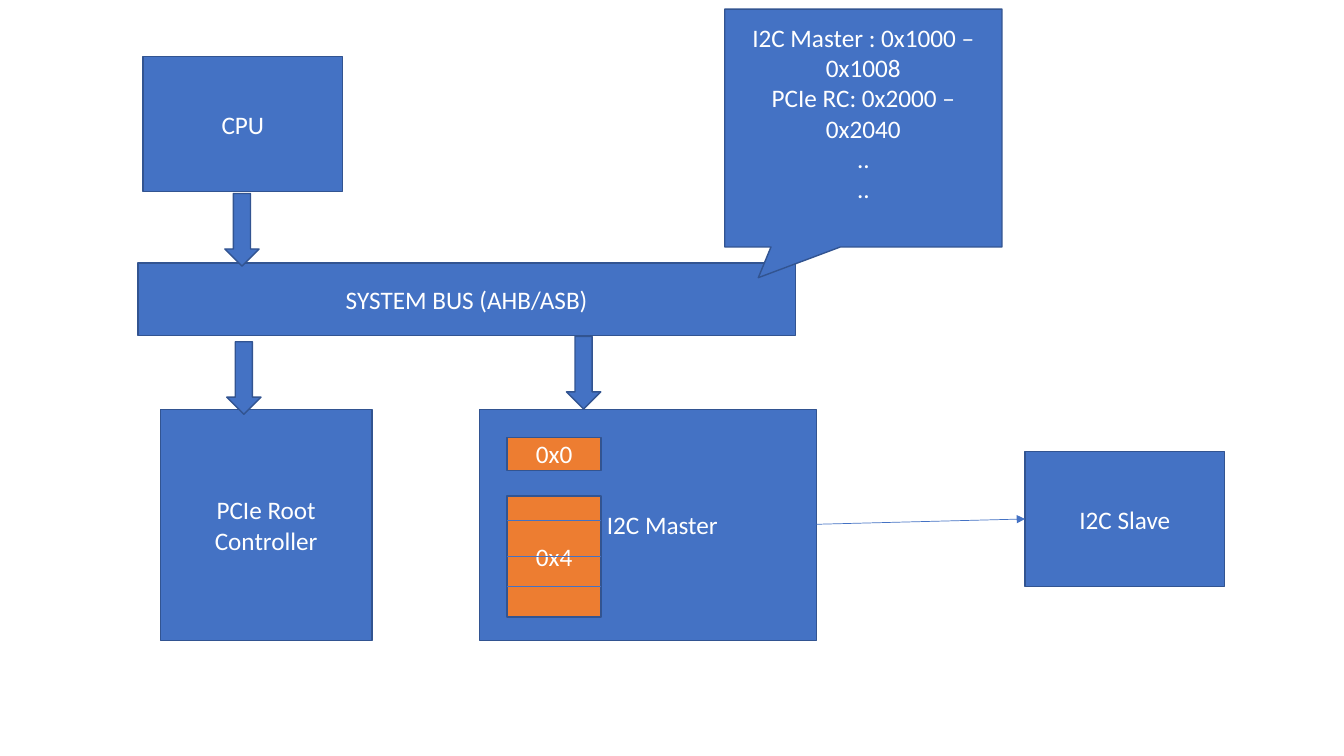
from dataclasses import dataclass

from lxml.etree import SubElement
from pptx import Presentation
from pptx.dml.color import RGBColor
from pptx.enum.shapes import MSO_CONNECTOR, MSO_SHAPE
from pptx.enum.text import MSO_ANCHOR, PP_ALIGN
from pptx.oxml.ns import qn
from pptx.util import Inches, Pt

BLUE = RGBColor(0x44, 0x72, 0xC4)
NAVY = RGBColor(0x32, 0x54, 0x91)
ORANGE = RGBColor(0xED, 0x7D, 0x31)
WHITE = RGBColor(0xFF, 0xFF, 0xFF)

deck = Presentation()
deck.slide_width, deck.slide_height = Inches(13.33), Inches(7.5)
slide = deck.slides.add_slide(deck.slide_layouts[6])


def across(share: float) -> int:
    """Percent of the slide's width."""
    return round(deck.slide_width * share / 100)


def down(share: float) -> int:
    """Percent of the slide's height."""
    return round(deck.slide_height * share / 100)


@dataclass(frozen=True)
class Block:
    left: float
    top: float
    width: float
    height: float
    lines: tuple[str, ...] = ()
    fill: RGBColor = BLUE
    kind: MSO_SHAPE = MSO_SHAPE.RECTANGLE
    inset: float = 0.1  # left margin, inches
    foot: float = 0.05  # bottom margin, inches
    adjust: tuple[float, ...] = ()


@dataclass(frozen=True)
class Wire:
    start: tuple[float, float]
    end: tuple[float, float]
    head: bool = False


def draw_block(block: Block) -> None:
    shape = slide.shapes.add_shape(
        block.kind, across(block.left), down(block.top),
        across(block.width), down(block.height))
    shape.shadow.inherit = False
    shape.fill.solid()
    shape.fill.fore_color.rgb = block.fill
    shape.line.color.rgb = NAVY
    shape.line.width = Pt(1)
    for index, value in enumerate(block.adjust):
        shape.adjustments[index] = value
    if not block.lines:
        return
    frame = shape.text_frame
    layout = {"word_wrap": True, "vertical_anchor": MSO_ANCHOR.MIDDLE,
              "margin_left": Inches(block.inset),
              "margin_bottom": Inches(block.foot)}
    for name, value in layout.items():
        setattr(frame, name, value)
    for index, line in enumerate(block.lines):
        para = frame.paragraphs[0] if index == 0 else frame.add_paragraph()
        para.alignment = PP_ALIGN.CENTER
        run = para.add_run()
        run.text = line
        for name, value in {"size": Pt(18), "name": "Calibri"}.items():
            setattr(run.font, name, value)
        run.font.color.rgb = WHITE


def draw_wire(wire: Wire) -> None:
    (x1, y1), (x2, y2) = wire.start, wire.end
    link = slide.shapes.add_connector(
        MSO_CONNECTOR.STRAIGHT, across(x1), down(y1), across(x2), down(y2))
    link.line.color.rgb = BLUE
    link.line.width = Pt(0.5)
    if wire.head:
        SubElement(link.line._get_or_add_ln(), qn("a:tailEnd"), type="triangle")
    SubElement(link._element.spPr, qn("a:effectLst"))


# Rows and sizes shared by several parts
UNIT = (14.85, 17.8)
LOWER, DEPTH = 54.15, 30.55
REG, SPAN = 37.73, 7

# Units, the bus and the registers inside the master
blocks = [
    Block(10.65, 7.5, *UNIT, ("CPU",)),
    Block(10.27, 34.8, 48.9, 9.6, ("SYSTEM BUS (AHB/ASB)",)),
    Block(11.93, LOWER, 15.75, DEPTH, ("PCIe Root Controller",)),
    Block(35.7, LOWER, 25.05, DEPTH, ("I2C Master",), inset=0.38),
    Block(76.27, 59.75, *UNIT, ("I2C Slave",)),
    Block(REG, 57.85, SPAN, 4.4, ("0x0",), ORANGE),
    Block(REG, 65.6, SPAN, 16, ("0x4",), ORANGE),
]

# Block arrows to and from the bus
arrows = [Block(left, top, 2.55, 9.6, kind=MSO_SHAPE.DOWN_ARROW)
          for left, top in ((16.73, 25.6), (42.15, 44.5), (16.87, 45.2))]

# Address map
callout = Block(
    53.93, 1.2, 20.62, 31.47,
    ("I2C Master : 0x1000 – 0x1008", "PCIe RC: 0x2000 – 0x2040", "..", ".."),
    kind=MSO_SHAPE.RECTANGULAR_CALLOUT, foot=0.35, adjust=(-0.379, 0.629))

# Register dividers and the link to the slave
wires = [Wire((REG, y), (REG + SPAN, y)) for y in (68.8, 73.6, 77.6)]
wires.append(Wire((60.75, 69.35), (76.27, 68.65), head=True))

for block in [*blocks, *arrows, callout]:
    draw_block(block)
for wire in wires:
    draw_wire(wire)

deck.save("out.pptx")
